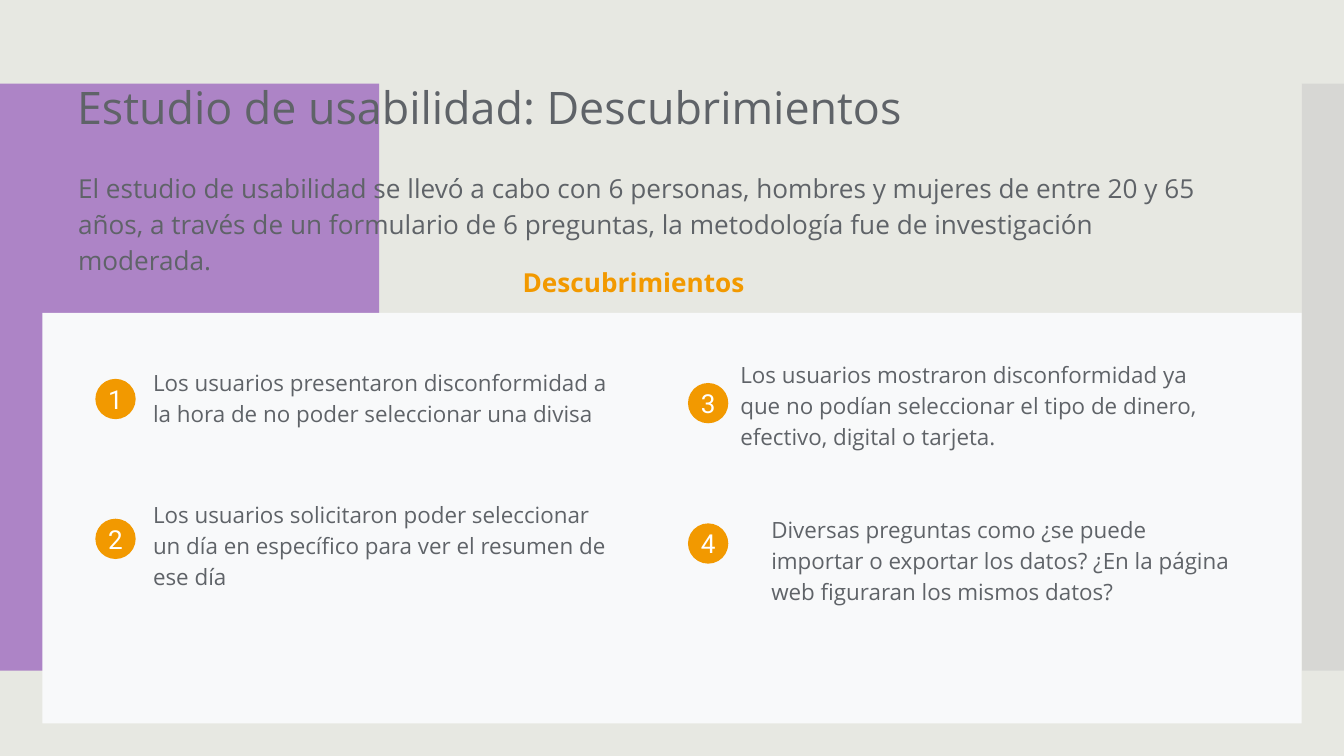
"""Build the usability study findings slide."""
from lxml.etree import SubElement
from pptx import Presentation
from pptx.dml.color import RGBColor
from pptx.enum.shapes import MSO_SHAPE
from pptx.enum.text import MSO_ANCHOR, PP_ALIGN
from pptx.oxml.ns import qn
from pptx.util import Pt

BACKGROUND, PURPLE, SIDE_GRAY, PANEL = "E7E8E2", "AD84C6", "C8C8C8", "F8F9FA"
BODY, ACCENT, WHITE = "5F6368", "F29900", "FFFFFF"

TITLE = "Estudio de usabilidad: Descubrimientos"
SUMMARY = (
    "El estudio de usabilidad se llevó a cabo con 6 personas, hombres y mujeres "
    "de entre 20 y 65 años, a través de un formulario de 6 preguntas, la "
    "metodología fue de investigación moderada."
)
HEADING = "Descubrimientos"
FINDINGS = [
    ("Los usuarios presentaron disconformidad a la hora de no poder "
     "seleccionar una divisa", (74.9, 188.6, 262.8, 48.2), (51.1, 203)),
    ("Los usuarios solicitaron poder seleccionar un día en específico para "
     "ver el resumen de ese día", (74.9, 259.2, 262.8, 64.8), (51.1, 277.9)),
    ("Los usuarios mostraron disconformidad ya que no podían seleccionar el "
     "tipo de dinero, efectivo, digital o tarjeta.",
     (389.5, 184.3, 262.8, 64.8), (368.6, 205.2)),
    ("Diversas preguntas como ¿se puede importar o exportar los datos? ¿En la "
     "página web figuraran los mismos datos?",
     (406.1, 267.1, 262.8, 64.8), (368.6, 280.4)),
]
BADGE = 21.6
INSET = 7.2


def color(value):
    return RGBColor.from_string(value)


def add_block(kind, place, fill):
    block = slide.shapes.add_shape(kind, *map(Pt, place))
    block.shadow.inherit = False
    block.fill.solid()
    block.fill.fore_color.rgb = color(fill)
    block.line.fill.background()
    return block


def write(frame, wording, size, ink, face="Open Sans", bold=False):
    paragraph = frame.paragraphs[0]
    paragraph.text = wording
    paragraph.font.size = Pt(size)
    paragraph.font.name = face
    paragraph.font.bold = bold
    paragraph.font.color.rgb = color(ink)
    return paragraph


def add_text(wording, place, size, ink=BODY, left=INSET, spacing=1.15, bold=False):
    frame = slide.shapes.add_textbox(*map(Pt, place)).text_frame
    frame.word_wrap = True
    frame.margin_left = Pt(left)
    frame.margin_top = frame.margin_right = frame.margin_bottom = Pt(INSET)
    write(frame, wording, size, ink, bold=bold).line_spacing = spacing


def add_badge(number, left, top):
    frame = add_block(MSO_SHAPE.OVAL, (left, top, BADGE, BADGE), ACCENT).text_frame
    frame.margin_left = frame.margin_top = frame.margin_right = frame.margin_bottom = 0
    frame.vertical_anchor = MSO_ANCHOR.MIDDLE
    write(frame, str(number), 14, WHITE, "Roboto").alignment = PP_ALIGN.CENTER


deck = Presentation()
deck.slide_width, deck.slide_height = Pt(720), Pt(405)
slide = deck.slides.add_slide(deck.slide_layouts[6])
slide.background.fill.solid()
slide.background.fill.fore_color.rgb = color(BACKGROUND)

add_block(MSO_SHAPE.RECTANGLE, (0, 44.8, 203.2, 314.6), PURPLE)
side_band = add_block(MSO_SHAPE.RECTANGLE, (697.4, 44.8, 22.6, 314.6), SIDE_GRAY)
tint = next(side_band.element.spPr.iter(qn("a:srgbClr")))
SubElement(tint, qn("a:alpha"), val="50000")

add_text(TITLE, (41.3, 35.3, 484.6, 43.9), 24, left=0, spacing=1)
add_text(SUMMARY, (41.8, 82.8, 619.9, 72.7), 14, left=0)
add_text(HEADING, (272.9, 133.2, 262.8, 33.8), 14, ink=ACCENT, bold=True)
add_block(MSO_SHAPE.RECTANGLE, (22.7, 167.6, 674.6, 220), PANEL)

for number, (finding, place, badge_corner) in enumerate(FINDINGS, 1):
    add_text(finding, place, 12)
    add_badge(number, *badge_corner)

deck.save("out.pptx")
